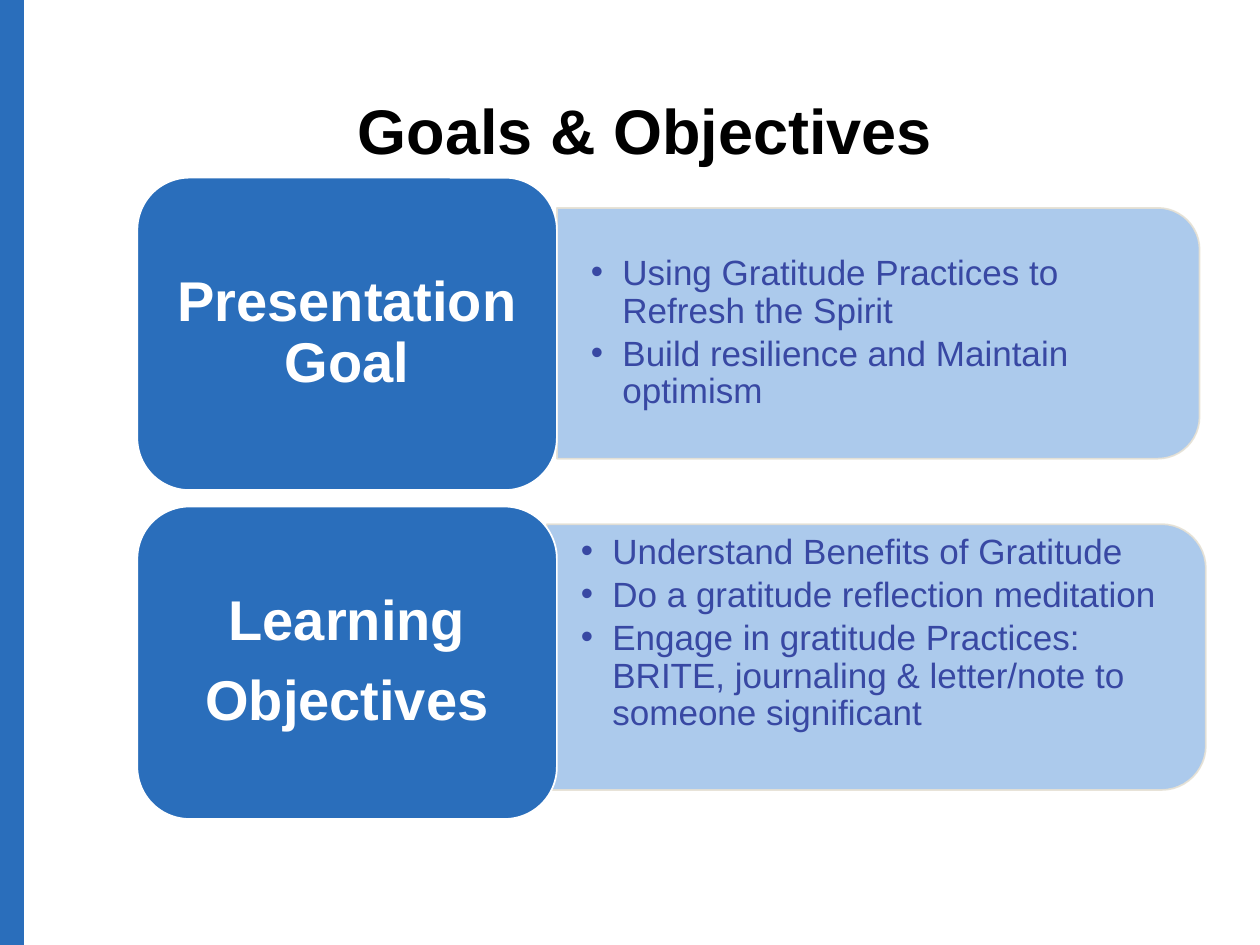
from dataclasses import dataclass

from lxml.etree import SubElement
from pptx import Presentation
from pptx.dml.color import RGBColor
from pptx.enum.shapes import MSO_SHAPE as Shape
from pptx.enum.text import MSO_ANCHOR as Anchor, MSO_AUTO_SIZE as AutoSize, PP_ALIGN as Align
from pptx.oxml.ns import qn
from pptx.util import Inches, Pt

TITLE = "Goals & Objectives"
# Panel: left, top, width and height as seen on the page
ROWS = [
    {
        "heading": ["Presentation Goal"],
        "points": [
            "Using Gratitude Practices to Refresh the Spirit",
            "Build resilience and Maintain optimism",
        ],
        "panel": (4.42, 1.65, 5.1, 1.99),
        "insets": (0.27, 0.14, 0.27, 0.14),
    },
    {
        "heading": ["Learning", "Objectives"],
        "points": [
            "Understand Benefits of Gratitude",
            "Do a gratitude reflection meditation",
            "Engage in gratitude Practices: BRITE, journaling & letter/note "
            "to someone significant",
        ],
        "panel": (4.34, 4.16, 5.23, 2.11),
        "insets": (0.27, 0, 0.27, 0.37),
    },
]
CARD_LEFT, CARD_TOP, CARD_WIDTH, CARD_HEIGHT, CARD_PITCH = 1.09, 1.41, 3.33, 2.48, 2.61
PANEL_MARGIN = 0.1


@dataclass(frozen=True)
class Theme:
    font: str = "Arial"
    blue: str = "2A6EBB"
    pale: str = "A3C5EA"
    edge: str = "E6E1D4"
    white: str = "FFFFFF"
    black: str = "000000"
    ink: str = "3848A3"
    title_size: int = 36
    heading_size: int = 32
    point_size: int = 20
    panel_alpha: int = 90


THEME = Theme()


def add_block(page, kind, place, fill, line=None, alpha=None):
    """Add a filled shape; alpha is the opacity of fill and line in percent."""
    box = page.shapes.add_shape(kind, *map(Inches, place))
    box.shadow.inherit = False
    box.fill.solid()
    box.fill.fore_color.rgb = RGBColor.from_string(fill)
    if line:
        box.line.color.rgb = RGBColor.from_string(line)
        box.line.width = Pt(1)
    else:
        box.line.fill.background()
    if alpha:
        for color in box.element.spPr.findall(".//" + qn("a:srgbClr")):
            SubElement(color, qn("a:alpha"), val=str(alpha * 1000))
    return box


def add_bullet(para):
    props = para._p.get_or_add_pPr()
    props.set("marL", str(Inches(0.25)))
    props.set("indent", str(-Inches(0.25)))
    SubElement(props, qn("a:buFont"), typeface=THEME.font)
    SubElement(props, qn("a:buChar"), char="•")


def write(box, lines, size, color, bold=False, align=Align.LEFT, after=0,
          bullet=False, insets=(0.1, 0.05, 0.1, 0.05)):
    frame = box.text_frame
    frame.word_wrap = True
    frame.auto_size = AutoSize.NONE
    frame.vertical_anchor = Anchor.MIDDLE
    (frame.margin_left, frame.margin_top,
     frame.margin_right, frame.margin_bottom) = map(Inches, insets)
    for index, line in enumerate(lines):
        para = frame.add_paragraph() if index else frame.paragraphs[0]
        para.alignment = align
        para.line_spacing = 0.9
        para.space_before = Pt(0)
        para.space_after = Pt(after)
        if bullet:
            add_bullet(para)
        span = para.add_run()
        span.text = line
        span.font.name = THEME.font
        span.font.size = Pt(size)
        span.font.bold = bold
        span.font.color.rgb = RGBColor.from_string(color)


def add_panel(page, row):
    left, top, width, height = row["panel"]
    # A quarter turn swaps the sides around a fixed centre
    turned = (left + (width - height) / 2, top + (height - width) / 2, height, width)
    panel = add_block(page, Shape.ROUND_2_SAME_RECTANGLE, turned,
                      THEME.pale, THEME.edge, THEME.panel_alpha)
    panel.rotation = 90
    place = (left, top + PANEL_MARGIN, width - PANEL_MARGIN, height - 2 * PANEL_MARGIN)
    box = page.shapes.add_textbox(*map(Inches, place))
    write(box, row["points"], THEME.point_size, THEME.ink, after=3,
          bullet=True, insets=row["insets"])


def add_card(page, row, index):
    place = (CARD_LEFT, CARD_TOP + index * CARD_PITCH, CARD_WIDTH, CARD_HEIGHT)
    card = add_block(page, Shape.ROUNDED_RECTANGLE, place, THEME.blue, THEME.white)
    write(card, row["heading"], THEME.heading_size, THEME.white, bold=True,
          align=Align.CENTER, after=11.2, insets=(0.13, 0.07, 0.13, 0.07))


def main():
    deck = Presentation()
    deck.slide_width, deck.slide_height = Inches(10), Inches(7.5)
    page = deck.slides.add_slide(deck.slide_layouts[5])

    add_block(page, Shape.RECTANGLE, (0, 0, 0.19, 7.5), THEME.blue)

    title = page.shapes.title
    title.left, title.top, title.width, title.height = map(Inches, (0.81, 0.74, 8.62, 0.65))
    write(title, [TITLE], THEME.title_size, THEME.black, bold=True, align=Align.CENTER)

    for index, row in enumerate(ROWS):
        add_panel(page, row)
        add_card(page, row, index)

    deck.save("out.pptx")


if __name__ == "__main__":
    main()
